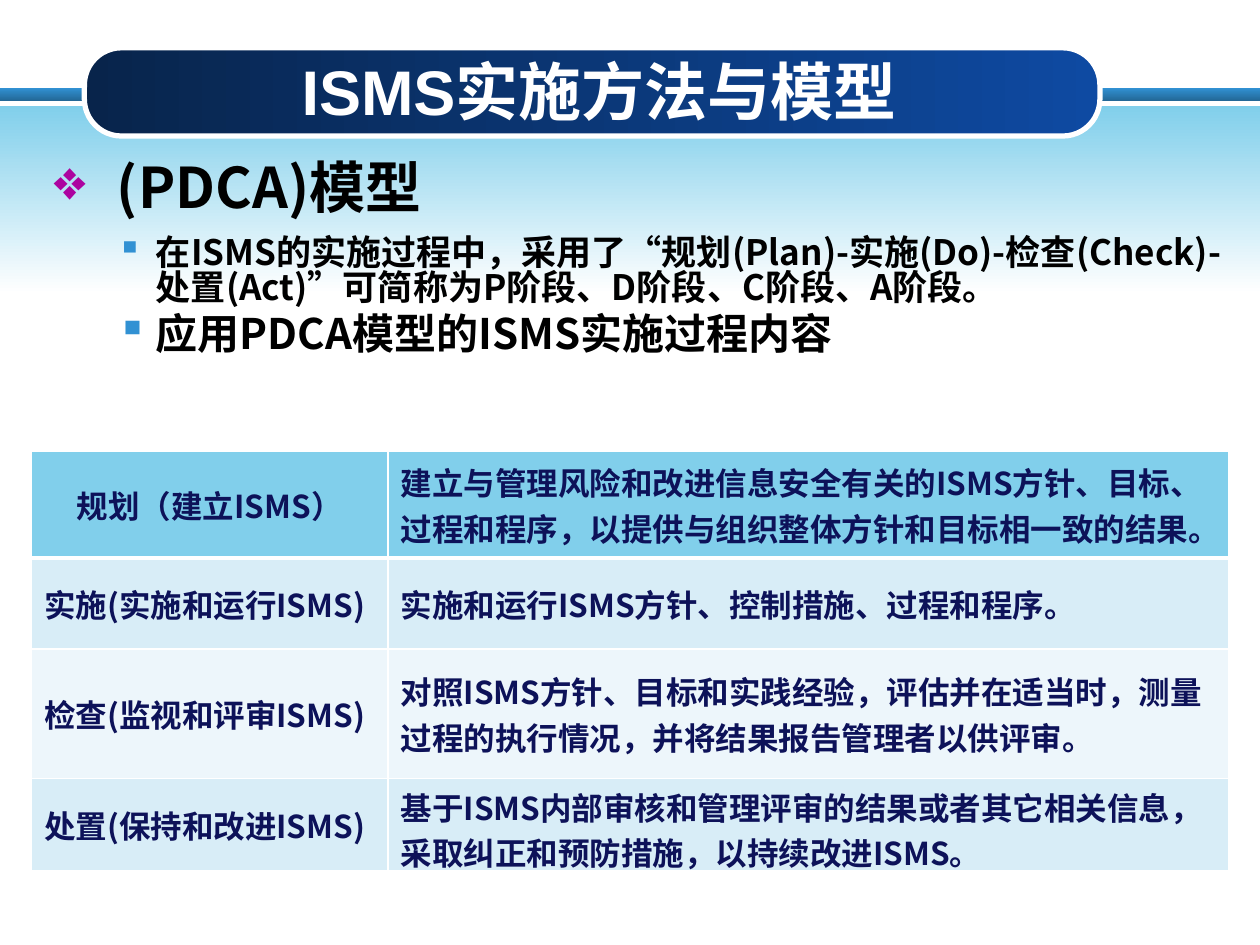
from lxml import etree
from pptx import Presentation
from pptx.dml.color import RGBColor
from pptx.enum.shapes import MSO_SHAPE
from pptx.enum.text import MSO_ANCHOR, PP_ALIGN
from pptx.oxml.ns import qn
from pptx.util import Inches, Pt

RECTANGLE, ROUNDED = MSO_SHAPE.RECTANGLE, MSO_SHAPE.ROUNDED_RECTANGLE
MIDDLE, TOP = MSO_ANCHOR.MIDDLE, MSO_ANCHOR.TOP
LEFT, CENTER = PP_ALIGN.LEFT, PP_ALIGN.CENTER

WHITE = RGBColor(0xFF, 0xFF, 0xFF)
BLACK = RGBColor(0x00, 0x00, 0x00)
NAVY = RGBColor(0x0D, 0x12, 0x59)
BLUE = RGBColor(0x31, 0x91, 0xD3)
STEEL = RGBColor(0x23, 0x68, 0x97)
SKY = RGBColor(0x81, 0xCF, 0xEB)
PILL_DARK = RGBColor(0x08, 0x24, 0x4B)
PILL_LIGHT = RGBColor(0x0E, 0x4A, 0xA2)
PURPLE = RGBColor(0xAC, 0x04, 0xA0)
BAND = RGBColor(0xD8, 0xED, 0xF7)
PALE = RGBColor(0xED, 0xF6, 0xFB)

TITLE_FONT, TEXT_FONT = "Arial", "Noto Sans CJK SC"
COLUMNS, ROWS = 100, 75  # grid units across and down the slide
DOWNWARD, RIGHTWARD = 270, 0

# level, text, size, bullet, bullet colour, text indent, hanging, before, after
POINTS = [
    ("(PDCA)模型", 32, "❖", PURPLE, 0.5, 0.5, 0, 6.4),
    ("在ISMS的实施过程中，采用了“规划(Plan)-实施(Do)-检查(Check)-处置(Act)”"
     "可简称为P阶段、D阶段、C阶段、A阶段。", 20, "▪", BLUE, 0.81, 0.31, 4, 0),
    ("应用PDCA模型的ISMS实施过程内容", 24, "▪", BLUE, 0.81, 0.31, 4.8, 0),
]
PHASES = [
    ("规划（建立ISMS）",
     "建立与管理风险和改进信息安全有关的ISMS方针、目标、过程和程序，"
     "以提供与组织整体方针和目标相一致的结果。"),
    ("实施(实施和运行ISMS)", "实施和运行ISMS方针、控制措施、过程和程序。"),
    ("检查(监视和评审ISMS)",
     "对照ISMS方针、目标和实践经验，评估并在适当时，"
     "测量过程的执行情况，并将结果报告管理者以供评审。"),
    ("处置(保持和改进ISMS)",
     "基于ISMS内部审核和管理评审的结果或者其它相关信息，"
     "采取纠正和预防措施，以持续改进ISMS。"),
]


class SlideBuilder:
    def __init__(self):
        self.deck = Presentation()
        self.deck.slide_width, self.deck.slide_height = Inches(10), Inches(7.5)
        self.slide = self.deck.slides.add_slide(self.deck.slide_layouts[5])

    def across(self, columns):
        return round(self.deck.slide_width * columns / COLUMNS)

    def down(self, rows):
        return round(self.deck.slide_height * rows / ROWS)

    def box(self, left, top, width, height):
        return (self.across(left), self.down(top),
                self.across(width), self.down(height))

    def style(self, paragraph, size, color, font=TEXT_FONT, align=LEFT):
        paragraph.alignment = align
        face = paragraph.font
        face.size, face.bold, face.name = Pt(size), True, font
        face.color.rgb = color
        defaults = paragraph._p.get_or_add_pPr().find(qn("a:defRPr"))
        etree.SubElement(defaults, qn("a:ea"), typeface=TEXT_FONT)

    def gradient(self, kind, area, colors, angle):
        shape = self.slide.shapes.add_shape(kind, *self.box(*area))
        shape.shadow.inherit = False
        shape.line.fill.background()
        shape.fill.gradient()
        shape.fill.gradient_angle = angle
        for stop, color, position in zip(shape.fill.gradient_stops, colors, (0, 1)):
            stop.color.rgb, stop.position = color, position
        return shape

    def title(self, text, area):
        title = self.slide.shapes.title
        title.left, title.top, title.width, title.height = self.box(*area)
        title.text_frame.text = text
        title.text_frame.vertical_anchor = MIDDLE
        self.style(title.text_frame.paragraphs[0], 36, WHITE, TITLE_FONT, CENTER)
        self.slide.shapes.element.append(title.element)  # in front of the pill

    def bullets(self, points, area):
        frame = self.slide.shapes.add_textbox(*self.box(*area)).text_frame
        frame.word_wrap, frame.vertical_anchor = True, TOP
        for index, point in enumerate(points):
            text, size, mark, mark_color, indent, hanging, before, after = point
            paragraph = frame.add_paragraph() if index else frame.paragraphs[0]
            paragraph.text = text
            paragraph.line_spacing = 0.83
            paragraph.space_before, paragraph.space_after = Pt(before), Pt(after)
            props = paragraph._p.get_or_add_pPr()
            props.set("marL", str(Inches(indent)))
            props.set("indent", str(-Inches(hanging)))
            tint = etree.SubElement(props, qn("a:buClr"))
            etree.SubElement(tint, qn("a:srgbClr"), val=str(mark_color))
            etree.SubElement(props, qn("a:buChar"), char=mark)
            self.style(paragraph, size, BLACK)

    def borders(self, cell, **widths):
        props = cell._tc.get_or_add_tcPr()
        for side in "LRTB":
            width = Pt(widths.get(side, 1))
            line = etree.SubElement(props, qn(f"a:ln{side}"), w=str(width))
            paint = etree.SubElement(line, qn("a:solidFill"))
            etree.SubElement(paint, qn("a:srgbClr"), val=str(WHITE))

    def table(self, records, area, widths, heights, fills):
        table = self.slide.shapes.add_table(
            len(records), len(widths), *self.box(*area)).table
        table.first_row = table.horz_banding = False
        for column, width in zip(table.columns, widths):
            column.width = self.across(width)
        for index, (row, height) in enumerate(zip(table.rows, heights)):
            row.height = self.down(height)
            rule = {0: {"B": 3}, 1: {"T": 3}}.get(index, {})
            for position, (cell, text) in enumerate(zip(row.cells, records[index])):
                self.borders(cell, **rule)
                cell.fill.solid()
                cell.fill.fore_color.rgb = fills[index]
                cell.vertical_anchor = MIDDLE
                cell.margin_top = cell.margin_bottom = Inches(0.04)
                cell.text = text
                self.style(cell.text_frame.paragraphs[0], 18, NAVY,
                           align=LEFT if index or position else CENTER)


def main():
    builder = SlideBuilder()

    # Header bands and title pill
    builder.gradient(RECTANGLE, (0, 7, 100, 1), (BLUE, STEEL), DOWNWARD)
    builder.gradient(RECTANGLE, (0, 8.4, 100, 14.9), (SKY, WHITE), DOWNWARD)
    pill = builder.gradient(ROUNDED, (6.7, 3.8, 80.6, 7),
                            (PILL_DARK, PILL_LIGHT), RIGHTWARD)
    pill.adjustments[0] = 0.42
    pill.line.color.rgb, pill.line.width = WHITE, Pt(3)
    builder.title("ISMS实施方法与模型", (9.2, 4.1, 76.7, 6.2))

    # PDCA points
    builder.bullets(POINTS, (3.3, 12.5, 95, 23))

    # Phases of the model
    builder.table(PHASES, (2.5, 35.8, 95, 33.3), (28.3, 66.7),
                  (8.5, 7.2, 10.3, 7.3), (SKY, BAND, PALE, BAND))

    builder.deck.save("out.pptx")


if __name__ == "__main__":
    main()
